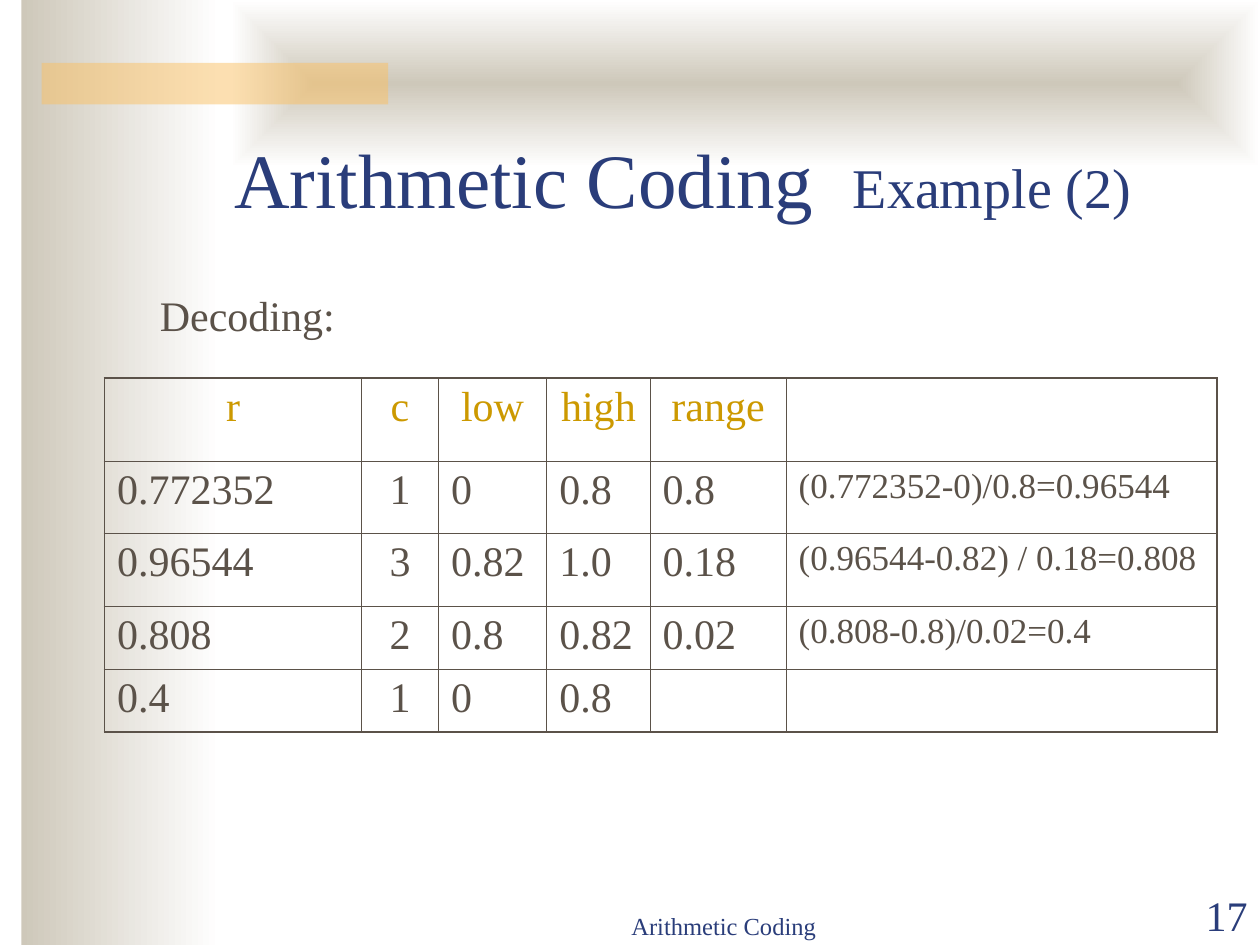
from dataclasses import dataclass

from lxml.etree import SubElement
from pptx import Presentation
from pptx.dml.color import RGBColor
from pptx.enum.shapes import MSO_SHAPE
from pptx.enum.text import MSO_ANCHOR, MSO_AUTO_SIZE, PP_ALIGN
from pptx.oxml.ns import qn
from pptx.util import Inches, Pt

FONT = "Times New Roman"
NAVY = RGBColor(0x2A, 0x3D, 0x7A)
BROWN = RGBColor(0x5B, 0x52, 0x49)
GOLD = RGBColor(0xCC, 0x99, 0x00)
SAND = RGBColor(0xCE, 0xC8, 0xBA)
ORANGE = RGBColor(0xFA, 0xC1, 0x64)
WHITE = RGBColor(0xFF, 0xFF, 0xFF)

THIN, THICK = Pt(0.45), Pt(1.08)
COLUMN_WIDTHS = [2.04, 0.61, 0.86, 0.82, 1.08, 3.42]
ROW_HEIGHTS = [0.66, 0.57, 0.58, 0.5, 0.5]
CODE_COLUMN, FORMULA_COLUMN = 1, 5
ROWS = [
    ["r", "c", "low", "high", "range", ""],
    ["0.772352", "1", "0", "0.8", "0.8", "(0.772352-0)/0.8=0.96544"],
    ["0.96544", "3", "0.82", "1.0", "0.18", "(0.96544-0.82) / 0.18=0.808"],
    ["0.808", "2", "0.8", "0.82", "0.02", "(0.808-0.8)/0.02=0.4"],
    ["0.4", "1", "0", "0.8", "", ""],
]


@dataclass
class Box:
    left: float
    top: float
    width: float
    height: float

    def emu(self) -> list:
        return [Inches(v) for v in (self.left, self.top, self.width, self.height)]


@dataclass
class Label:
    box: Box
    runs: list  # (text, point size) pairs
    color: RGBColor
    align: PP_ALIGN
    anchor: MSO_ANCHOR = MSO_ANCHOR.BOTTOM
    wrap: bool = True


LABELS = [
    Label(Box(2.83, 7.01, 5.83, 0.5), [("Arithmetic Coding", 14)], NAVY, PP_ALIGN.CENTER),
    Label(Box(9, 7.01, 1, 0.5), [("17", 24)], NAVY, PP_ALIGN.RIGHT),
    Label(Box(1.17, 0.58, 8.5, 1.25),
          [("Arithmetic Coding  ", 44), ("Example (2)", 32)], NAVY, PP_ALIGN.CENTER),
    Label(Box(1.17, 2.25, 1.59, 0.5), [("Decoding:", 24)], BROWN,
          PP_ALIGN.LEFT, MSO_ANCHOR.TOP, wrap=False),
]


def style_run(r, size: float, color: RGBColor) -> None:
    r.font.name = FONT
    r.font.size = Pt(size)
    r.font.color.rgb = color


def add_block(s, box: Box):
    sp = s.shapes.add_shape(MSO_SHAPE.RECTANGLE, *box.emu())
    sp.shadow.inherit = False
    sp.line.fill.background()
    return sp


def add_gradient(s, box: Box, from_center: bool = False) -> None:
    sp = add_block(s, box)
    sp.fill.gradient()
    sp.fill.gradient_angle = 0
    for stop, color in zip(sp.fill.gradient_stops, (SAND, WHITE)):
        stop.color.rgb = color
    if from_center:
        grad = sp.element.spPr.find(qn("a:gradFill"))
        grad.remove(grad.find(qn("a:lin")))
        shade = SubElement(grad, qn("a:path"), {"path": "rect"})
        SubElement(shade, qn("a:fillToRect"), {side: "50000" for side in "ltrb"})


def add_accent(s, box: Box, color: RGBColor, opacity: int) -> None:
    sp = add_block(s, box)
    sp.fill.solid()
    sp.fill.fore_color.rgb = color
    clr = sp.element.spPr.find(qn("a:solidFill"))[0]
    SubElement(clr, qn("a:alpha"), {"val": str(opacity * 1000)})


def add_label(s, label: Label) -> None:
    tf = s.shapes.add_textbox(*label.box.emu()).text_frame
    tf.word_wrap = label.wrap
    tf.auto_size = MSO_AUTO_SIZE.NONE if label.wrap else MSO_AUTO_SIZE.SHAPE_TO_FIT_TEXT
    tf.vertical_anchor = label.anchor
    p = tf.paragraphs[0]
    p.alignment = label.align
    for text, size in label.runs:
        r = p.add_run()
        r.text = text
        style_run(r, size, label.color)


def set_borders(cell, row: int, col: int) -> None:
    outer = {"L": col == 0, "R": col == len(COLUMN_WIDTHS) - 1,
             "T": row == 0, "B": row == len(ROW_HEIGHTS) - 1}
    tc_pr = cell._tc.get_or_add_tcPr()
    for side, is_outer in outer.items():
        width = THICK if is_outer else THIN
        ln = SubElement(tc_pr, qn(f"a:ln{side}"), {"w": str(int(width))})
        fill = SubElement(ln, qn("a:solidFill"))
        SubElement(fill, qn("a:srgbClr"), {"val": str(BROWN)})


def fill_cell(cell, text: str, row: int, col: int) -> None:
    set_borders(cell, row, col)
    cell.fill.background()
    if not text:
        return
    is_formula = col == FORMULA_COLUMN
    cell.text_frame.text = text
    p = cell.text_frame.paragraphs[0]
    centered = row == 0 or col == CODE_COLUMN
    p.alignment = PP_ALIGN.CENTER if centered else PP_ALIGN.LEFT
    p.space_before = Pt(5 if is_formula else 6)
    style_run(p.runs[0], 20 if is_formula else 24, GOLD if row == 0 else BROWN)


def add_decoding_table(s, box: Box) -> None:
    table = s.shapes.add_table(len(ROWS), len(COLUMN_WIDTHS), *box.emu()).table
    table.first_row = table.horz_banding = False
    for column, width in zip(table.columns, COLUMN_WIDTHS):
        column.width = Inches(width)
    for row, height in zip(table.rows, ROW_HEIGHTS):
        row.height = Inches(height)
    for i, texts in enumerate(ROWS):
        for j, text in enumerate(texts):
            fill_cell(table.cell(i, j), text, i, j)


def main() -> None:
    prs = Presentation()
    prs.slide_width, prs.slide_height = Inches(10), Inches(7.5)
    s = prs.slides.add_slide(prs.slide_layouts[6])

    # Background decoration
    add_gradient(s, Box(0.17, 0, 1.58, 7.5))
    add_gradient(s, Box(1.83, 0, 8.17, 1.33), from_center=True)
    add_accent(s, Box(0.33, 0.5, 2.75, 0.33), ORANGE, opacity=50)

    # Footer, page number, title and caption
    for label in LABELS:
        add_label(s, label)

    # Decoding steps
    add_decoding_table(s, Box(0.83, 3, sum(COLUMN_WIDTHS), sum(ROW_HEIGHTS)))

    prs.save("out.pptx")


if __name__ == "__main__":
    main()
